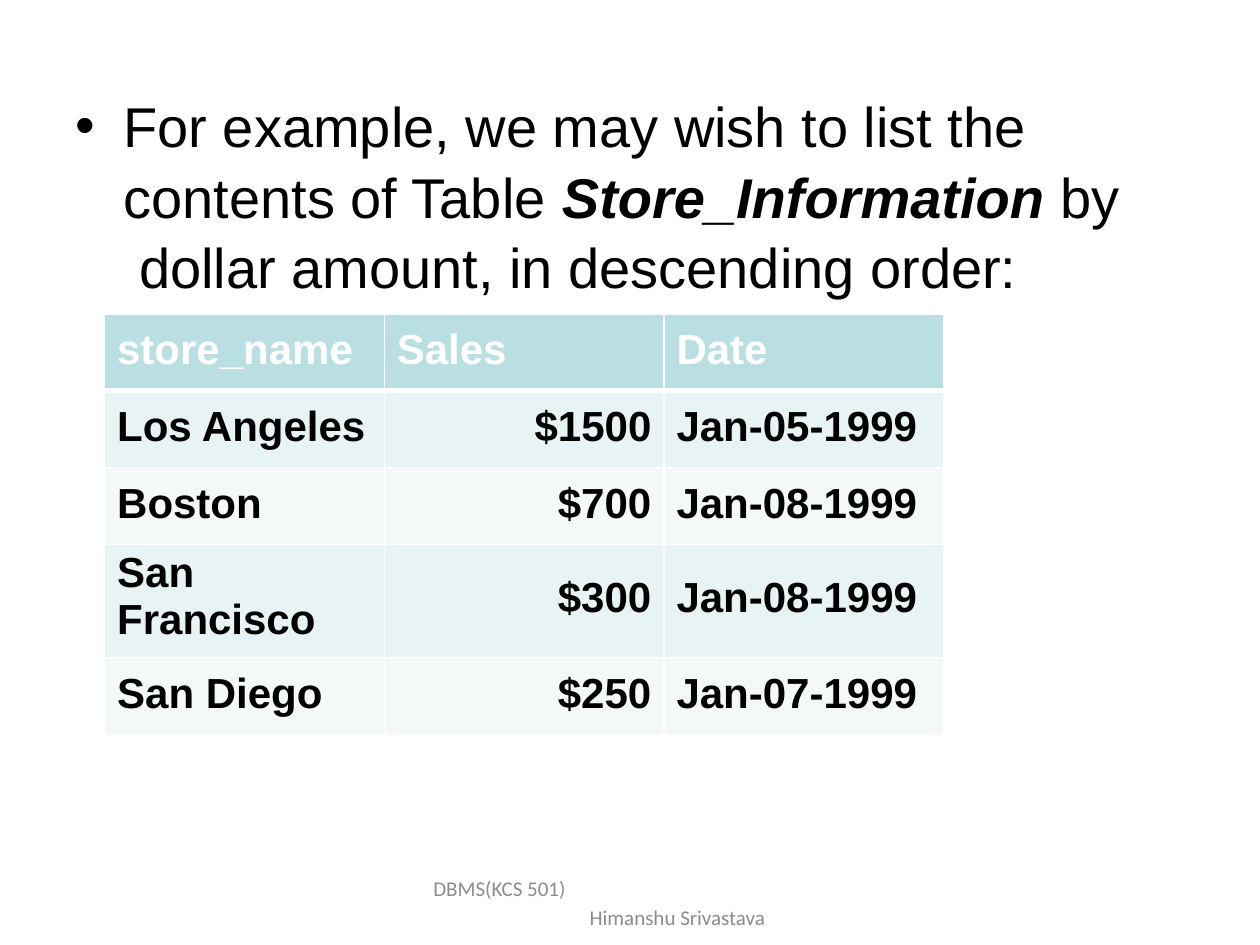
from typing import NamedTuple

from lxml.etree import SubElement
from pptx import Presentation
from pptx.dml.color import RGBColor
from pptx.enum.text import MSO_ANCHOR as Anchor, PP_ALIGN as Align
from pptx.oxml.ns import qn
from pptx.util import Inches, Pt

BLACK = RGBColor(0, 0, 0)
WHITE = RGBColor(255, 255, 255)
GREY = RGBColor(0x8C, 0x8C, 0x8C)
HEAD = RGBColor(0xBA, 0xDF, 0xE2)
BANDS = (RGBColor(0xF3, 0xF8, 0xF9), RGBColor(0xE7, 0xF3, 0xF4))


class Row(NamedTuple):
    """One table row: its texts, height and top insets."""
    texts: tuple[str, str, str]
    high: float = 0.61
    tops: tuple[float, float, float] = (0.1, 0.1, 0.1)


class Part(NamedTuple):
    """A piece of the intro sentence."""
    text: str
    strong: bool = False


ROWS = (
    Row(("store_name", "Sales", "Date")),
    Row(("Los Angeles", "$1500", "Jan-05-1999")),
    Row(("Boston", "$700", "Jan-08-1999")),
    Row(("San Francisco", "$300", "Jan-08-1999"), 0.9, (0.04, 0.24, 0.24)),
    Row(("San Diego", "$250", "Jan-07-1999")),
)
INTRO = (
    Part("For example, we may wish to list the contents of Table "),
    Part("Store_Information", True),
    Part(" by \u00a0dollar amount, in descending order:"),
)


def add_run(para, text: str, size: float, color: RGBColor,
            face: str = "Arial", bold: bool = False, slant: bool = False) -> None:
    """Append a styled run to a paragraph."""
    run = para.add_run()
    run.text = text
    font = run.font
    font.name, font.size = face, Pt(size)
    font.bold, font.italic = bold, slant
    font.color.rgb = color


def add_box(slide, left: float, top: float, width: float, height: float):
    """Add a wrapping text box without insets and return its frame."""
    frame = slide.shapes.add_textbox(
        Inches(left), Inches(top), Inches(width), Inches(height)).text_frame
    frame.word_wrap = True
    frame.margin_left = frame.margin_right = 0
    frame.margin_top = frame.margin_bottom = 0
    return frame


def set_indent(para, left: float, first: float):
    """Set the left margin and first line indent; return the properties."""
    props = para._p.get_or_add_pPr()
    props.set("marL", str(Inches(left)))
    props.set("indent", str(Inches(first)))
    return props


def add_intro(slide) -> None:
    """Draw the bulleted sentence."""
    frame = add_box(slide, 0.59, 0.69, 8.35, 1.63)
    frame.margin_top = Inches(0.01)
    para = frame.paragraphs[0]
    para.line_spacing = 1.05
    para.space_before = Pt(1.1)
    props = set_indent(para, 0.39, -0.38)
    SubElement(props, qn("a:buFont"), typeface="Arial")
    SubElement(props, qn("a:buChar"), char="\u2022")
    for part in INTRO:
        add_run(para, part.text, 32, BLACK, bold=part.strong, slant=part.strong)


def add_edges(cell, head: bool, below: bool) -> None:
    """Give a cell white borders, thick under the header row."""
    props = cell._tc.get_or_add_tcPr()
    widths = {"L": 1, "R": 1, "T": 3 if below else 1, "B": 3 if head else 1}
    for pos, (side, width) in enumerate(widths.items()):
        line = SubElement(props, qn(f"a:ln{side}"), w=str(Pt(width)))
        fill = SubElement(line, qn("a:solidFill"))
        SubElement(fill, qn("a:srgbClr"), val=str(WHITE))
        props.insert(pos, line)


def add_sales(slide) -> None:
    """Draw the store sales table."""
    table = slide.shapes.add_table(
        len(ROWS), 3, Inches(0.83), Inches(2.49), Inches(6.66), Inches(3.34)).table
    for col in table.columns:
        col.width = Inches(2.22)
    for r, row in enumerate(ROWS):
        table.rows[r].height = Inches(row.high)
        head = r == 0
        for c, text in enumerate(row.texts):
            cell = table.cell(r, c)
            cell.margin_left = cell.margin_right = Inches(0.1)
            cell.margin_top, cell.margin_bottom = Inches(row.tops[c]), 0
            cell.fill.solid()
            cell.fill.fore_color.rgb = HEAD if head else BANDS[r % 2]
            add_edges(cell, head, r == 1)
            para = cell.text_frame.paragraphs[0]
            para.alignment = Align.RIGHT if c == 1 and not head else Align.LEFT
            add_run(para, text, 24, WHITE if head else BLACK, bold=True)


def add_footer(slide) -> None:
    """Draw the course and author lines."""
    frame = add_box(slide, 3.42, 6.95, 3.17, 0.4)
    frame.vertical_anchor = Anchor.MIDDLE
    para = frame.paragraphs[0]
    para.line_spacing = Pt(16.5)
    set_indent(para, 1.26, -1.24)
    add_run(para, "DBMS(KCS 501)", 12, GREY, "Calibri")
    para.add_line_break()
    add_run(para, "Himanshu Srivastava", 12, GREY, "Calibri")


def main() -> None:
    """Build and save the slide."""
    deck = Presentation()
    deck.slide_width, deck.slide_height = Inches(10), Inches(7.5)
    slide = deck.slides.add_slide(deck.slide_layouts[6])
    add_intro(slide)
    add_footer(slide)
    add_sales(slide)
    deck.save("out.pptx")


main()
